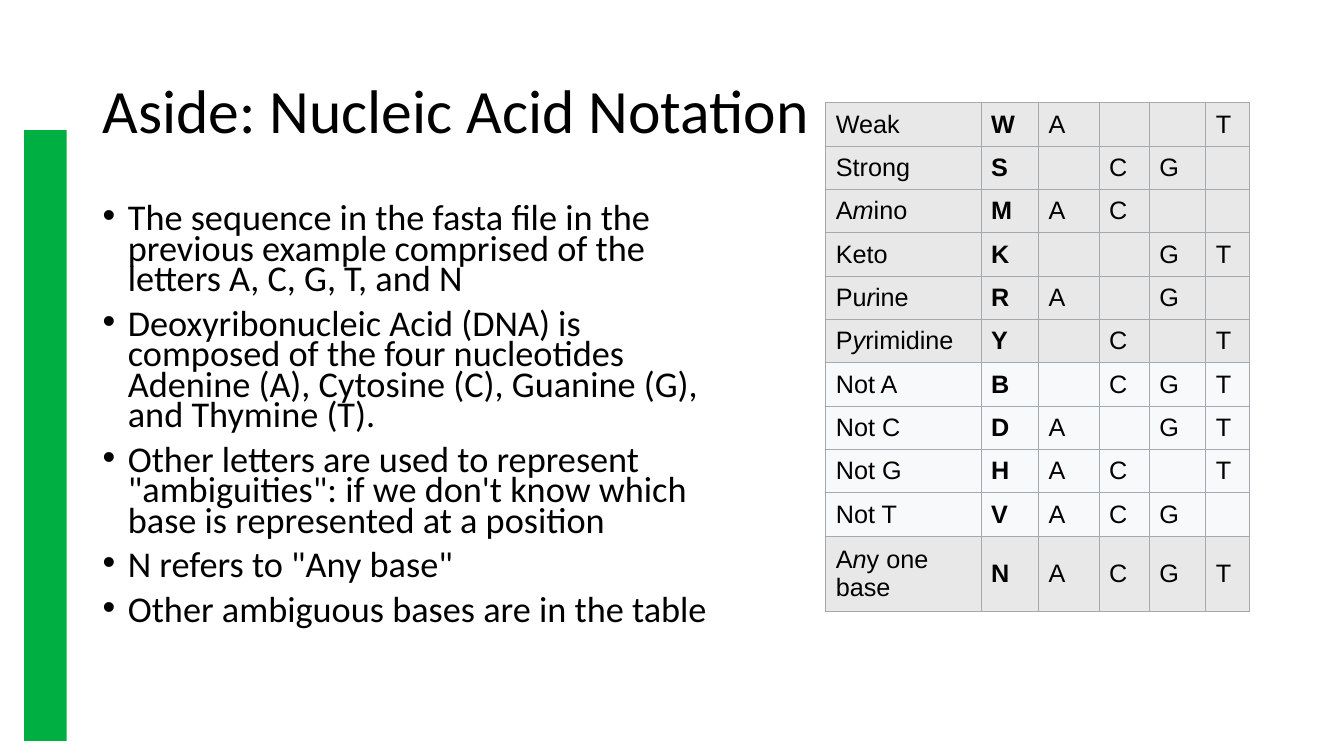
from lxml import etree
from pptx import Presentation
from pptx.dml.color import RGBColor
from pptx.enum.shapes import MSO_SHAPE
from pptx.enum.text import MSO_ANCHOR
from pptx.oxml.ns import qn
from pptx.util import Inches, Pt

RECT = MSO_SHAPE.RECTANGLE
MIDDLE = MSO_ANCHOR.MIDDLE

BLACK, GREEN, EDGE = "000000", "00AF41", "A2A9B1"
GREY, PALE = "E8E8E8", "F8F9FA"

TITLE = "Aside: Nucleic Acid Notation"
POINTS = [
    "The sequence in the fasta file in the previous example comprised of the letters A, C, G, T, and N",
    "Deoxyribonucleic Acid (DNA) is composed of the four nucleotides Adenine (A), Cytosine (C), "
    "Guanine (G), and Thymine (T).",
    "Other letters are used to represent \"ambiguities\": if we don't know which base is represented "
    "at a position",
    "N refers to \"Any base\"",
    "Other ambiguous bases are in the table",
]
BASES = "ACGT"
# name (italic letter between asterisks), symbol, bases it stands for
CODES = [
    ("Weak", "W", "AT"),
    ("Strong", "S", "CG"),
    ("A*m*ino", "M", "AC"),
    ("Keto", "K", "GT"),
    ("Pu*r*ine", "R", "AG"),
    ("P*y*rimidine", "Y", "CT"),
    ("Not A", "B", "CGT"),
    ("Not C", "D", "AGT"),
    ("Not G", "H", "ACT"),
    ("Not T", "V", "ACG"),
    ("A*n*y one base", "N", "ACGT"),
]
WIDTHS = [1.54, 0.57, 0.6, 0.5, 0.56, 0.43]
ROW, LAST = 0.43, 0.75


def color(code):
    return RGBColor.from_string(code)


def style(para, face, size, bold=False):
    font = para.font
    font.name, font.size, font.bold = face, Pt(size), bold
    font.color.rgb = color(BLACK)


def add_text(slide, left, top, width, height):
    box = slide.shapes.add_textbox(Inches(left), Inches(top), Inches(width), Inches(height))
    box.text_frame.word_wrap = True
    return box.text_frame


def add_bullet(para):
    props = para._p.get_or_add_pPr()
    props.set("marL", str(Inches(0.25)))
    props.set("indent", str(-Inches(0.25)))
    mark = etree.Element(qn("a:buFont"), typeface="Arial")
    sign = etree.Element(qn("a:buChar"), char="•")
    first = props.find(qn("a:defRPr"))
    first.addprevious(mark)
    first.addprevious(sign)


def add_edges(cell):
    props = cell._tc.get_or_add_tcPr()
    for side in ("lnL", "lnR", "lnT", "lnB"):
        line = etree.SubElement(props, qn("a:" + side), w=str(Pt(0.75)))
        fill = etree.SubElement(line, qn("a:solidFill"))
        etree.SubElement(fill, qn("a:srgbClr"), val=EDGE)


def fill_cell(cell, text, back, bold):
    add_edges(cell)
    cell.fill.solid()
    cell.fill.fore_color.rgb = color(back)
    cell.vertical_anchor = MIDDLE
    para = cell.text_frame.paragraphs[0]
    style(para, "Arial", 18, bold)
    for i, part in enumerate(text.split("*")):
        if part:
            run = para.add_run()
            run.text = part
            if i % 2:
                run.font.italic = True


def add_codes(slide):
    high = ROW * (len(CODES) - 1) + LAST
    frame = slide.shapes.add_table(len(CODES), len(WIDTHS), Inches(8.19), Inches(1.02),
                                   Inches(sum(WIDTHS)), Inches(high))
    table = frame.table
    table.first_row = table.horz_banding = False
    for col, width in zip(table.columns, WIDTHS):
        col.width = Inches(width)
    for r, (name, sign, bases) in enumerate(CODES):
        table.rows[r].height = Inches(LAST if r == len(CODES) - 1 else ROW)
        back = PALE if name.startswith("Not") else GREY
        texts = [name, sign] + [b if b in bases else "" for b in BASES]
        for c, text in enumerate(texts):
            fill_cell(table.cell(r, c), text, back, c == 1)


def main():
    deck = Presentation()
    deck.slide_width, deck.slide_height = Inches(13.33), Inches(7.5)
    slide = deck.slides.add_slide(deck.slide_layouts[6])

    bar = slide.shapes.add_shape(RECT, Inches(0.24), Inches(1.29), Inches(0.42), Inches(6.06))
    bar.shadow.inherit = False
    bar.fill.solid()
    bar.fill.fore_color.rgb = color(GREEN)
    bar.line.fill.background()

    head = add_text(slide, 0.92, 0.4, 11.5, 1.45)
    head.vertical_anchor = MIDDLE
    para = head.paragraphs[0]
    para.text = TITLE
    para.line_spacing = 0.9
    style(para, "Calibri", 44)

    body = add_text(slide, 0.92, 2, 6.43, 4.76)
    for i, point in enumerate(POINTS):
        para = body.add_paragraph() if i else body.paragraphs[0]
        para.text = point
        para.line_spacing = 0.7
        para.space_before = Pt(10 if i else 0)
        style(para, "Calibri", 25.9)
        add_bullet(para)

    add_codes(slide)
    deck.save("out.pptx")


if __name__ == "__main__":
    main()
